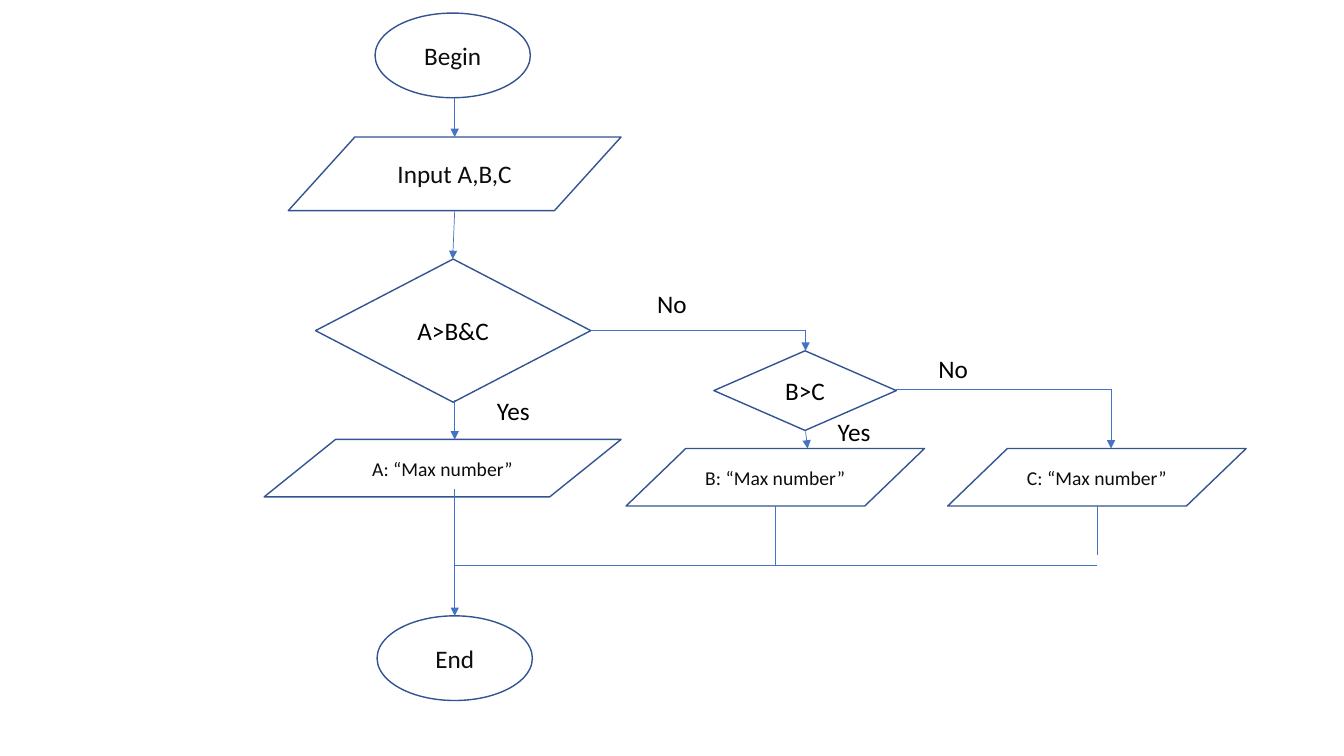
from lxml.etree import SubElement
from pptx import Presentation
from pptx.dml.color import RGBColor
from pptx.enum.shapes import MSO_CONNECTOR, MSO_SHAPE
from pptx.enum.text import MSO_ANCHOR, MSO_AUTO_SIZE, PP_ALIGN
from pptx.oxml.ns import qn
from pptx.util import Inches, Pt

COLUMNS, ROWS = 133.3, 75


def color(hex_code):
    return RGBColor.from_string(hex_code)


def write(frame, text, size=18, ink="000000", align=PP_ALIGN.LEFT, anchor=MSO_ANCHOR.TOP):
    frame.word_wrap = True
    frame.vertical_anchor = anchor
    paragraph = frame.paragraphs[0]
    paragraph.alignment = align
    run = paragraph.add_run()
    run.text = text
    run.font.name = "Calibri"
    run.font.size = Pt(size)
    run.font.color.rgb = color(ink)


class Flowchart:
    outline = "325491"
    flow = "4472C4"

    def __init__(self, deck):
        self.slide = deck.slides.add_slide(deck.slide_layouts[6])
        self.column = deck.slide_width / COLUMNS
        self.row = deck.slide_height / ROWS

    def place(self, x, y):
        return round(x * self.column), round(y * self.row)

    def step(self, kind, text, left, top, width, height, **style):
        step = self.slide.shapes.add_shape(kind, *self.place(left, top), *self.place(width, height))
        step.shadow.inherit = False
        step.fill.background()
        step.line.color.rgb = color(self.outline)
        step.line.width = Pt(1)
        write(step.text_frame, text, align=PP_ALIGN.CENTER, anchor=MSO_ANCHOR.MIDDLE, **style)

    def path_line(self, start, end, arrow=False):
        link = self.slide.shapes.add_connector(
            MSO_CONNECTOR.STRAIGHT, *self.place(*start), *self.place(*end))
        link.line.color.rgb = color(self.flow)
        link.line.width = Pt(0.5)
        if arrow:
            SubElement(link.line._get_or_add_ln(), qn("a:tailEnd"), type="triangle")
        SubElement(link._element.spPr, qn("a:effectLst"))

    def answer(self, text, left, top):
        answer = self.slide.shapes.add_textbox(*self.place(left, top), *self.place(10, 4))
        write(answer.text_frame, text)
        answer.text_frame.auto_size = MSO_AUTO_SIZE.SHAPE_TO_FIT_TEXT


def main():
    deck = Presentation()
    deck.slide_width, deck.slide_height = Inches(13.33), Inches(7.5)
    chart = Flowchart(deck)
    soft_black = "0D0D0D"
    main_x, second_x, third_x = 45.1, 79.9, 110.2
    b_exit, c_exit = 76.9, 108.8
    first_no, second_no = 32.8, 38.6
    output_top, output_bottom, merge = 44.5, 50.2, 56.1

    for text, left, top in (("Begin", 37.2, 1.3), ("End", 37.4, 61.1)):
        chart.step(MSO_SHAPE.OVAL, text, left, top, 15.4, 8.4, ink=soft_black)

    chart.step(MSO_SHAPE.FLOWCHART_DATA, "Input A,B,C", 28.6, 13.6, 33, 7.3, ink=soft_black)
    for name, left, top, width in (
        ("A", 26.2, 43.6, 35.4),
        ("B", 62.1, output_top, 29.6),
        ("C", 94, output_top, 29.6),
    ):
        chart.step(MSO_SHAPE.FLOWCHART_DATA, f"{name}: “Max number”",
                   left, top, width, 5.7, size=14, ink=soft_black)

    for test, *bounds in (("A>B&C", 31.3, 25.7, 27.3, 14.2), ("B>C", 70.8, 34.8, 18.1, 7.9)):
        chart.step(MSO_SHAPE.FLOWCHART_DECISION, test, *bounds)

    for start, end in (
        ((main_x, 9.7), (main_x, 13.6)),
        ((main_x, 20.9), (44.9, 25.7)),
        ((main_x, 39.7), (main_x, 43.6)),
        ((main_x, 48.5), (main_x, 61.1)),
        ((second_x, first_no), (second_x, 34.8)),
        ((second_x, 42.8), (80.1, output_top)),
        ((third_x, second_no), (third_x, output_top)),
    ):
        chart.path_line(start, end, arrow=True)

    for start, end in (
        ((58.6, first_no), (second_x, first_no)),
        ((88.9, second_no), (third_x, second_no)),
        ((b_exit, output_bottom), (b_exit, merge)),
        ((c_exit, output_bottom), (c_exit, 55.1)),
        ((c_exit, merge), (main_x, merge)),
    ):
        chart.path_line(start, end)

    for text, left, top in (
        ("No", 64.2, 28.1), ("Yes", 48.3, 38.7), ("Yes", 82.1, 40.8), ("No", 92.1, 34.6),
    ):
        chart.answer(text, left, top)

    deck.save("out.pptx")


if __name__ == "__main__":
    main()
